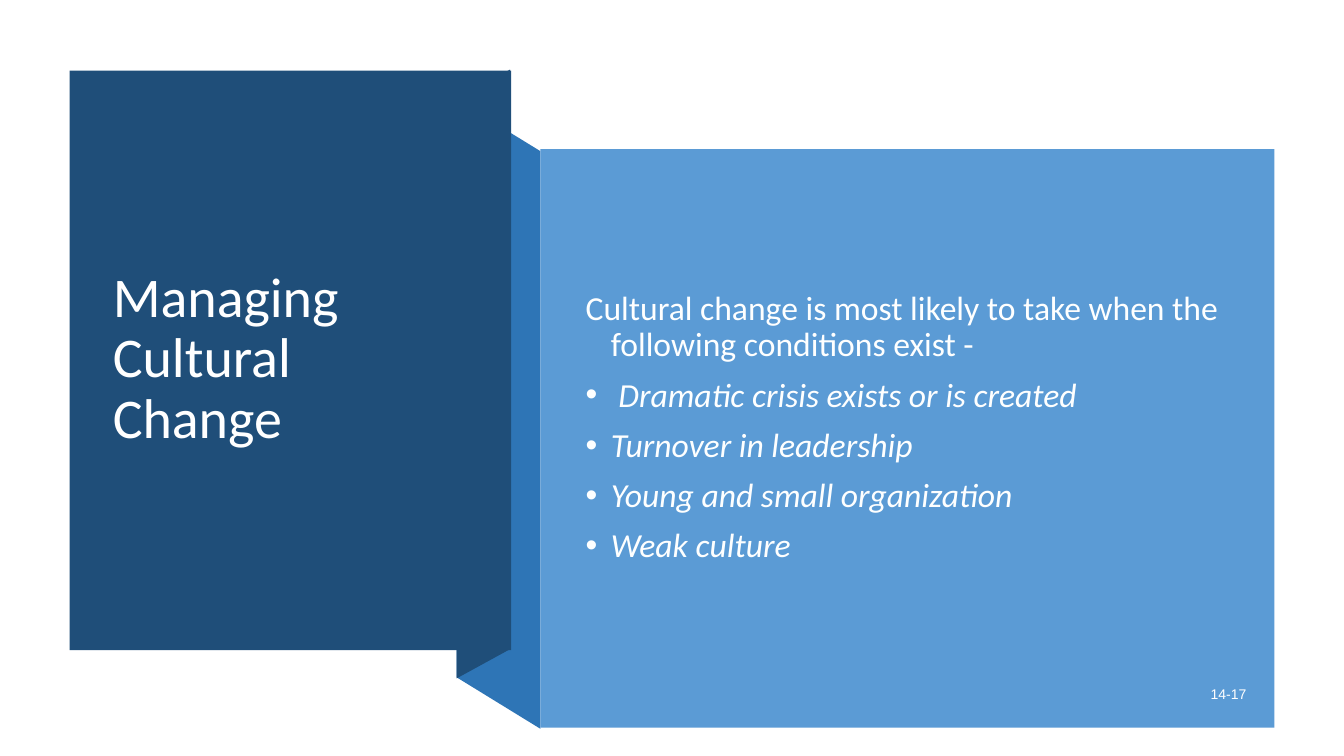
"""Builds the slide about managing cultural change."""
from lxml import etree
from pptx import Presentation
from pptx.dml.color import RGBColor
from pptx.enum import shapes, text
from pptx.oxml import ns
from pptx.util import Inches, Pt

NAVY, BLUE, SKY = "1F4E79", "2E75B6", "5B9BD5"
WHITE, BODY_WHITE = "FFFFFF", "FEFFFF"
LEAD = "Cultural change is most likely to take when the following conditions exist -"
CONDITIONS = [
    " Dramatic crisis exists or is created",
    "Turnover in leadership",
    "Young and small organization",
    "Weak culture",
]


def color(value):
    """Turn a hex string into a colour."""
    return RGBColor.from_string(value)


def paint(shape, fill):
    """Give a shape a plain fill with no line or shadow."""
    shape.shadow.inherit = False
    shape.fill.solid()
    shape.fill.fore_color.rgb = color(fill)
    shape.line.fill.background()


def add_panel(page, left, top, width, height, fill):
    """Add a plain rectangle."""
    paint(page.shapes.add_shape(
        shapes.MSO_SHAPE.RECTANGLE,
        Inches(left), Inches(top), Inches(width), Inches(height)), fill)


def add_fold(page, points, fill):
    """Add a closed outline through points given in inches."""
    corners = [(Inches(x), Inches(y)) for x, y in points]
    builder = page.shapes.build_freeform(*corners[0], scale=1.0)
    builder.add_line_segments(corners[1:], close=True)
    paint(builder.convert_to_shape(), fill)


def add_text(page, left, top, width, height, lines, size, fill, font="Calibri",
             anchor=text.MSO_ANCHOR.MIDDLE):
    """Add a wrapped text box and return its paragraphs."""
    box = page.shapes.add_textbox(
        Inches(left), Inches(top), Inches(width), Inches(height))
    frame = box.text_frame
    frame.word_wrap = True
    frame.vertical_anchor = anchor
    frame.text = "\n".join(lines)
    for para in frame.paragraphs:
        for span in para.runs:
            span.font.name = font
            span.font.size = Pt(size)
            span.font.color.rgb = color(fill)
    return frame.paragraphs


def hang(para, bullet=None):
    """Give a paragraph a hanging indent and an optional bullet."""
    properties = para._p.get_or_add_pPr()
    properties.set("marL", str(Inches(0.25)))
    properties.set("indent", str(-Inches(0.25)))
    if bullet:
        font = etree.SubElement(properties, ns.qn("a:buFont"))
        font.set("typeface", "Arial")
        mark = etree.SubElement(properties, ns.qn("a:buChar"))
        mark.set("char", bullet)


def add_conditions(page):
    """Add the lead sentence and the bulleted conditions."""
    lead, *items = add_text(page, 5.71, 1.88, 6.51, 4.74,
                            [LEAD, *CONDITIONS], 24, BODY_WHITE)
    hang(lead)
    lead.line_spacing = 0.9
    for para in items:
        hang(para, "•")
        para.line_spacing = 0.9
        para.space_before = Pt(10)
        for span in para.runs:
            span.font.italic = True


def main():
    """Build and save the deck."""
    deck = Presentation()
    deck.slide_width, deck.slide_height = Inches(13.33), Inches(7.5)
    page = deck.slides.add_slide(deck.slide_layouts[6])
    add_fold(page, [(5.36, 7.23), (4.53, 6.72), (4.53, 0.99), (5.36, 1.5)], BLUE)
    add_fold(page, [(5.06, 6.44), (4.53, 6.73), (4.53, 0.98), (5.06, 0.69)], NAVY)
    add_panel(page, 0.69, 0.7, 4.38, 5.75, NAVY)
    title, = add_text(page, 1.02, 1.07, 3.71, 4.99,
                      ["Managing Cultural Change"], 40, WHITE)
    title.line_spacing = 0.9
    add_panel(page, 5.36, 1.48, 7.28, 5.74, SKY)
    add_conditions(page)
    number, = add_text(page, 11.71, 6.75, 0.75, 0.35, ["14-17"], 10, WHITE,
                       "Arial", text.MSO_ANCHOR.TOP)
    number.alignment = text.PP_ALIGN.RIGHT
    number.space_after = Pt(6)
    deck.save("out.pptx")


if __name__ == "__main__":
    main()
